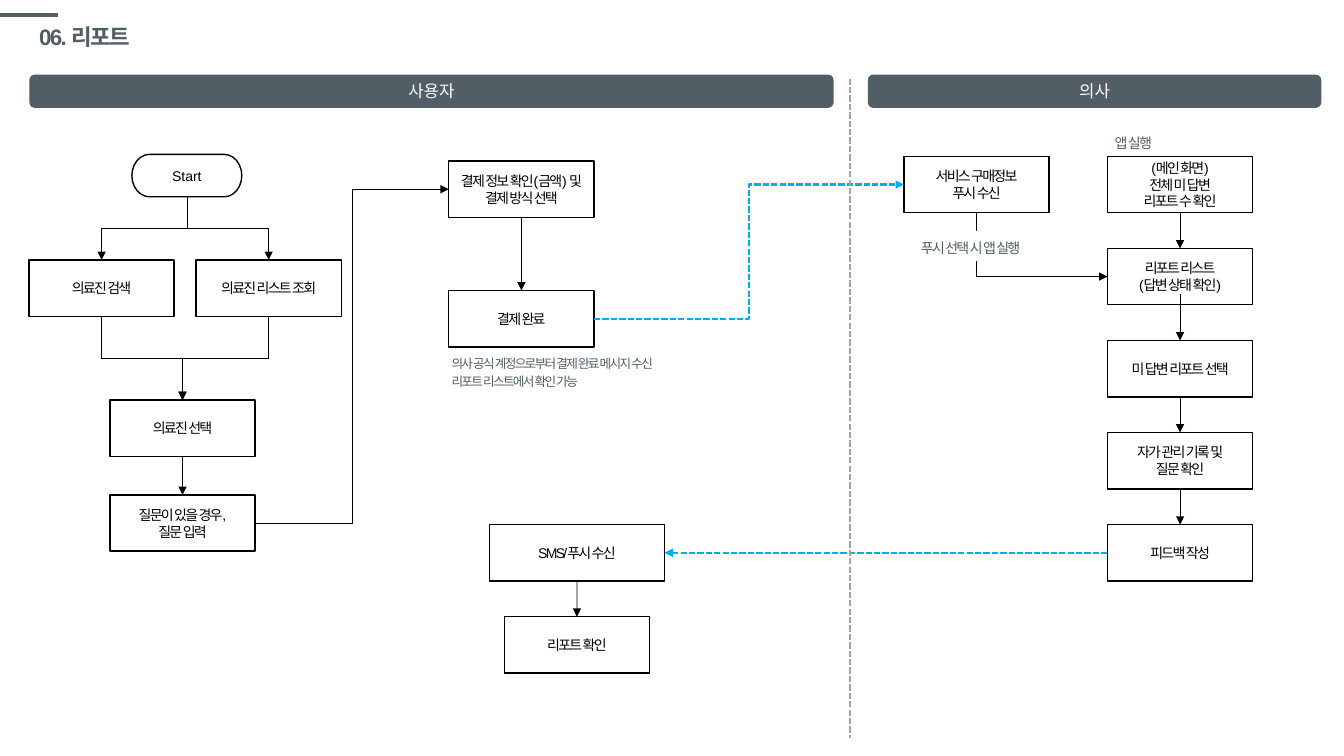
"""Build the report flowchart slide for users and doctors."""
from lxml import etree
from pptx import Presentation
from pptx.dml.color import RGBColor
from pptx.enum import dml, shapes, text
from pptx.oxml import ns
from pptx.util import Cm, Pt

COLORS = {"slate": "515E65", "black": "000000", "white": "FFFFFF",
          "blue": "00AEEF", "gray": "A5A5A5"}
LATIN, KOREAN = "Arial", "Noto Sans CJK KR"
BOX_W, BOX_H, ROW_TOP, ROW_STEP = 3.66, 1.42, 3.94, 2.32
TOP, LEFT, BOTTOM, RIGHT = range(4)

DOCTOR_STEPS = [
    ("main", "(메인 화면)\n전체 미 답변\n리포트 수 확인"),
    ("reports", "리포트 리스트\n(답변 상태 확인)"),
    ("unanswered", "미 답변 리포트 선택"),
    ("records", "자가 관리 기록 및\n질문 확인"),
    ("feedback", "피드백 작성"),
]
LAST_ROW = ROW_TOP + 4 * ROW_STEP
# name: centre x, top, width, height, wording
BOXES = {
    "start": (4.71, 3.89, 2.77, 1.07, "Start"),
    "search": (2.56, 6.55, BOX_W, BOX_H, "의료진 검색"),
    "browse": (6.77, 6.55, BOX_W, BOX_H, "의료진 리스트 조회"),
    "select": (4.6, 10.08, BOX_W, BOX_H, "의료진 선택"),
    "question": (4.6, 12.47, BOX_W, BOX_H, "질문이 있을 경우,\n질문 입력"),
    "payment": (13.14, 4.06, BOX_W, BOX_H, "결제 정보 확인(금액) 및\n결제 방식 선택"),
    "paid": (13.14, 7.32, BOX_W, BOX_H, "결제 완료"),
    "push": (24.61, ROW_TOP, BOX_W, BOX_H, "서비스 구매정보\n푸시 수신"),
    "sms": (14.54, LAST_ROW, 4.42, BOX_H, "SMS/푸시 수신"),
    "view": (14.54, LAST_ROW + ROW_STEP, BOX_W, BOX_H, "리포트 확인"),
}
for row, (name, wording) in enumerate(DOCTOR_STEPS):
    BOXES[name] = (29.74, ROW_TOP + row * ROW_STEP, BOX_W, BOX_H, wording)

STRAIGHT = [("select", "question"), ("payment", "paid"), ("main", "reports"),
            ("unanswered", "records"), ("records", "feedback"), ("sms", "view")]
DOWN_ELBOWS = [("start", "search", TOP), ("start", "browse", TOP),
               ("search", "select", TOP), ("browse", "select", TOP),
               ("push", "reports", LEFT)]
SIDE_ELBOWS = [("question", "payment", False), ("paid", "push", True)]
HEADERS = [(0.74, 20.27, "사용자"), (21.87, 11.43, "의사")]
# left, top, width, height, wording, size, fill
LABELS = [
    (11.13, 8.76, 6.3, 1.17, "의사 공식 계정으로부터 결제 완료 메시지 수신\n리포트 리스트에서 확인 가능", 9, None),
    (22.96, 5.82, 3.61, 0.76, "푸시 선택 시 앱 실행", 10, "white"),
    (27.84, 3.18, 1.78, 0.76, "앱 실행", 10, None),
]

presentation = Presentation()
presentation.slide_width, presentation.slide_height = Cm(33.87), Cm(19.05)
slide = presentation.slides.add_slide(presentation.slide_layouts[6])


def rgb(name):
    return RGBColor.from_string(COLORS[name])


def write(shape, wording, size, color, font=LATIN, spacing=-120, bold=False,
          align=text.PP_ALIGN.LEFT, line_spacing=None, anchor=text.MSO_ANCHOR.MIDDLE,
          wrap=True):
    frame = shape.text_frame
    frame.text = wording
    frame.word_wrap, frame.vertical_anchor = wrap, anchor
    for paragraph in frame.paragraphs:
        paragraph.alignment = align
        if line_spacing:
            paragraph.line_spacing = line_spacing
        for run in paragraph.runs:
            run.font.size, run.font.bold, run.font.name = Pt(size), bold, font
            run.font.color.rgb = rgb(color)
            properties = run.font._element
            properties.set("spc", str(spacing))
            east_asian = etree.Element(ns.qn("a:ea"), typeface=font)
            properties.find(ns.qn("a:latin")).addnext(east_asian)


def add_block(kind, left, top, width, height, fill, outline=None):
    shape = slide.shapes.add_shape(kind, Cm(left), Cm(top), Cm(width), Cm(height))
    shape.shadow.inherit = False
    shape.fill.solid()
    shape.fill.fore_color.rgb = rgb(fill)
    if outline:
        shape.line.color.rgb, shape.line.width = rgb(outline), Pt(1)
    else:
        shape.line.fill.background()
    return shape


def add_line(kind, start, end, color="black", width=0.5, dashed=False, arrow=True):
    connector = slide.shapes.add_connector(kind, *start, *end)
    connector.line.color.rgb, connector.line.width = rgb(color), Pt(width)
    if dashed:
        connector.line.dash_style = dml.MSO_LINE.SQUARE_DOT
    if arrow:
        etree.SubElement(connector.line._get_or_add_ln(), ns.qn("a:tailEnd"), type="triangle")
    etree.SubElement(connector._element.spPr, ns.qn("a:effectLst"))
    return connector


def side_point(name, side):
    box = boxes[name]
    x = box.left + {LEFT: 0, RIGHT: box.width}.get(side, box.width // 2)
    y = box.top + {TOP: 0, BOTTOM: box.height}.get(side, box.height // 2)
    return x, y


def join(first, last, first_side=BOTTOM, last_side=TOP, **style):
    connector = add_line(shapes.MSO_CONNECTOR.STRAIGHT, side_point(first, first_side),
                         side_point(last, last_side), **style)
    connector.begin_connect(boxes[first], first_side)
    connector.end_connect(boxes[last], last_side)


def add_down_elbow(first, last, last_side):
    (x1, y1), (x2, y2) = side_point(first, BOTTOM), side_point(last, last_side)
    across, down = abs(x2 - x1), y2 - y1
    left, top = (x1 + x2 - down) // 2, (y1 + y2 - across) // 2
    connector = add_line(shapes.MSO_CONNECTOR.ELBOW, (left, top), (left + down, top + across))
    transform = connector._element.spPr.find(ns.qn("a:xfrm"))
    transform.set("rot", "16200000" if x2 > x1 else "5400000")
    if x2 > x1:
        transform.set("flipH", "1")
    if last_side == LEFT:
        connector._element.spPr.find(ns.qn("a:prstGeom")).set("prst", "bentConnector2")


add_line(shapes.MSO_CONNECTOR.STRAIGHT, (0, Cm(0.38)), (Cm(1.47), Cm(0.38)),
         "slate", 3, arrow=False)
title = slide.shapes.add_textbox(Cm(0.74), Cm(0.48), Cm(29.21), Cm(0.99))
write(title, "06. 리포트", 16, "slate", bold=True, line_spacing=0.9)

boxes = {}
for name, (center, top, width, height, wording) in BOXES.items():
    kind = (shapes.MSO_SHAPE.FLOWCHART_TERMINATOR if name == "start"
            else shapes.MSO_SHAPE.FLOWCHART_PROCESS)
    boxes[name] = add_block(kind, center - width / 2, top, width, height, "white", "black")
    write(boxes[name], wording, 10, "black", spacing=0 if name == "start" else -120,
          align=text.PP_ALIGN.CENTER, wrap=False)

for first, last in STRAIGHT:
    join(first, last)
join("feedback", "sms", LEFT, RIGHT, color="blue", width=1.5, dashed=True)
list_exit = add_line(shapes.MSO_CONNECTOR.STRAIGHT, (side_point("reports", BOTTOM)[0], Cm(7.42)),
                     side_point("unanswered", TOP))
list_exit.end_connect(boxes["unanswered"], TOP)
for first, last, last_side in DOWN_ELBOWS:
    add_down_elbow(first, last, last_side)
for first, last, message in SIDE_ELBOWS:
    style = {"color": "blue", "width": 1.5, "dashed": True} if message else {}
    add_line(shapes.MSO_CONNECTOR.ELBOW, side_point(first, RIGHT), side_point(last, LEFT), **style)

for left, top, width, height, wording, size, fill in LABELS:
    if fill:
        label = add_block(shapes.MSO_SHAPE.RECTANGLE, left, top, width, height, fill)
    else:
        label = slide.shapes.add_textbox(Cm(left), Cm(top), Cm(width), Cm(height))
    write(label, wording, size, "slate", line_spacing=1.2, anchor=text.MSO_ANCHOR.TOP)

for left, width, wording in HEADERS:
    header = add_block(shapes.MSO_SHAPE.ROUNDED_RECTANGLE, left, 1.88, width, 0.84, "slate")
    write(header, wording, 12, "white", KOREAN, 0, align=text.PP_ALIGN.CENTER)
add_line(shapes.MSO_CONNECTOR.STRAIGHT, (Cm(21.41), Cm(1.98)), (Cm(21.41), Cm(18.59)),
         "gray", 1.5, dashed=True, arrow=False)

presentation.save("out.pptx")
